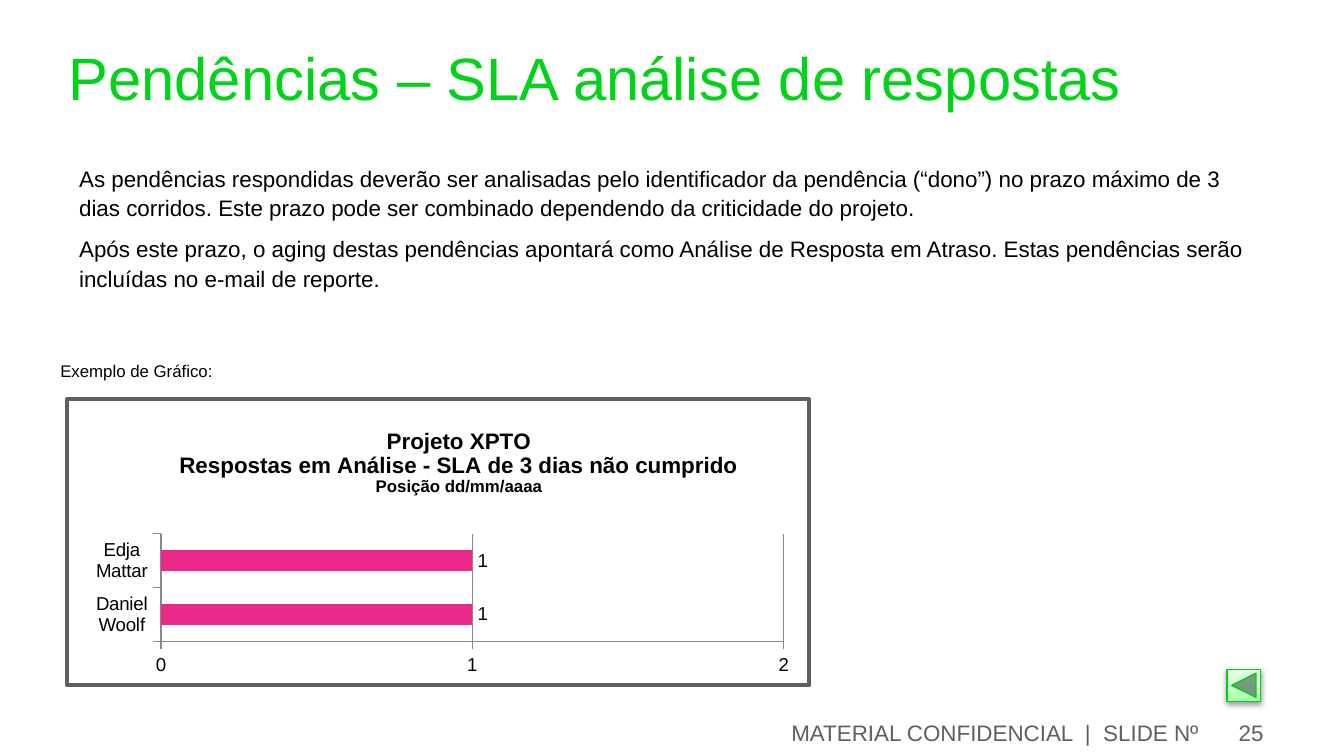
from lxml import etree
from pptx import Presentation
from pptx.chart.data import CategoryChartData
from pptx.dml.color import RGBColor
from pptx.enum.chart import XL_CHART_TYPE, XL_LABEL_POSITION, XL_TICK_MARK
from pptx.enum.shapes import MSO_SHAPE
from pptx.enum.text import MSO_ANCHOR, PP_ALIGN
from pptx.oxml import parse_xml
from pptx.oxml.ns import nsdecls, qn
from pptx.util import Inches, Pt

BAR = XL_CHART_TYPE.BAR_CLUSTERED
OUTSIDE = XL_LABEL_POSITION.OUTSIDE_END
TICK_OUT, TICK_NONE = XL_TICK_MARK.OUTSIDE, XL_TICK_MARK.NONE
RECT, BACK = MSO_SHAPE.RECTANGLE, MSO_SHAPE.ACTION_BUTTON_BACK_OR_PREVIOUS
TOP, MIDDLE = MSO_ANCHOR.TOP, MSO_ANCHOR.MIDDLE
LEFT, RIGHT = PP_ALIGN.LEFT, PP_ALIGN.RIGHT

FONT = "Arial"
COLORS = {
    "title": "00D318", "text": "000000", "gray": "5F5F5F", "white": "FFFFFF",
    "axis": "888888", "bar": "EA2A8B", "edge": "00CE17",
}
BODY = [
    "As pendências respondidas deverão ser analisadas pelo identificador da "
    "pendência (“dono”) no prazo máximo de 3 dias corridos. Este prazo pode ser "
    "combinado dependendo da criticidade do projeto.",
    "Após este prazo, o aging destas pendências apontará como Análise de Resposta "
    "em Atraso. Estas pendências serão incluídas no e-mail de reporte.",
]
HEADING = [
    ("Projeto XPTO", 12),
    ("Respostas em Análise - SLA de 3 dias não cumprido", 12),
    ("Posição dd/mm/aaaa", 9),
]


def color(name):
    return RGBColor.from_string(COLORS[name])


def style(font, size, name="text", bold=False):
    font.name, font.size, font.bold = FONT, Pt(size), bold
    font.color.rgb = color(name)


def stroke(line, name, width=0.75):
    line.color.rgb = color(name)
    line.width = Pt(width)


def add_title(slide, box, text):
    title = slide.shapes.title
    title.left, title.top, title.width, title.height = map(Inches, box)
    frame = title.text_frame
    frame.margin_left = frame.margin_right = 0
    frame.margin_top = frame.margin_bottom = 0
    frame.vertical_anchor = TOP
    frame.text = text
    frame.paragraphs[0].alignment = LEFT
    style(frame.paragraphs[0].runs[0].font, 32, "title")


def add_text(slide, box, lines, size, name="text", align=LEFT, anchor=TOP,
             spacing=1.0, after=0):
    frame = slide.shapes.add_textbox(*map(Inches, box)).text_frame
    frame.word_wrap = True
    frame.vertical_anchor = anchor
    frame.text = "\n".join(lines)
    for para in frame.paragraphs:
        para.alignment = align
        para.line_spacing = spacing
        para.space_after = Pt(after)
        style(para.runs[0].font, size, name)


def add_footer(slide, box, label, number):
    left, top, width, height = box
    split = width - 0.48
    for x, wide, text in ((left, split, label), (left + split, 0.48, number)):
        add_text(slide, (x, top, wide, height), [text], 12, "gray", RIGHT, MIDDLE)


def set_layout(parent, index, **values):
    """Give a chart part a manual layout, in fractions of the chart."""
    for old in parent.findall(qn("c:layout")):
        parent.remove(old)
    layout = etree.Element(qn("c:layout"))
    manual = etree.SubElement(layout, qn("c:manualLayout"))
    for key, value in values.items():
        etree.SubElement(manual, qn("c:" + key)).set("val", str(value))
    parent.insert(index, layout)


def add_heading(chart):
    frame = chart.chart_title.text_frame
    frame.text = "\n".join(text for text, _ in HEADING)
    for para, (_, size) in zip(frame.paragraphs, HEADING):
        style(para.runs[0].font, size, bold=True)
    title = chart._chartSpace.chart.find(qn("c:title"))
    set_layout(title, 1, xMode="edge", yMode="edge", x=0.14, y=0.04)


def add_bars(slide, box):
    left, top, width, height = box
    frame = slide.shapes.add_shape(RECT, *map(Inches, box))
    frame.shadow.inherit = False
    frame.fill.solid()
    frame.fill.fore_color.rgb = color("white")
    stroke(frame.line, "gray", 2)

    data = CategoryChartData()
    data.categories = ["Daniel Woolf", "Edja Mattar"]
    data.add_series("Series 1", (1, 1))
    inner = (left + 0.05, top + 0.1, width - 0.13, height - 0.17)
    chart = slide.shapes.add_chart(BAR, *map(Inches, inner), data).chart
    style(chart.font, 10)
    chart.has_legend = False
    add_heading(chart)
    set_layout(chart._chartSpace.chart.plotArea, 0, layoutTarget="inner",
               xMode="edge", yMode="edge", x=0.12, y=0.46, w=0.86, h=0.41)

    for axis in (chart.category_axis, chart.value_axis):
        axis.major_tick_mark, axis.minor_tick_mark = TICK_OUT, TICK_NONE
        style(axis.tick_labels.font, 10)
        stroke(axis.format.line, "axis")
    scale = chart.value_axis
    scale.minimum_scale, scale.maximum_scale, scale.major_unit = 0, 2, 1
    scale.has_major_gridlines = True
    stroke(scale.major_gridlines.format.line, "axis")

    plot = chart.plots[0]
    plot.gap_width = 150
    plot.vary_by_categories = False
    fill = plot.series[0].format.fill
    fill.solid()
    fill.fore_color.rgb = color("bar")
    labels = plot.series[0].data_labels
    labels.show_value = True
    labels.position = OUTSIDE
    style(labels.font, 10)


def add_button(slide, box):
    button = slide.shapes.add_shape(BACK, *map(Inches, box))
    stroke(button.line, "edge")
    stops = "".join(
        f'<a:gs pos="{pos * 1000}"><a:srgbClr val="{tone}"/></a:gs>'
        for pos, tone in ((0, "A8FFA9"), (35, "C2FFC2"), (100, "E8FFE8")))
    props = button._element.spPr
    props.find(qn("a:prstGeom")).addnext(parse_xml(
        f'<a:gradFill {nsdecls("a")} rotWithShape="1"><a:gsLst>{stops}</a:gsLst>'
        '<a:lin ang="16200000" scaled="1"/></a:gradFill>'))
    props.find(qn("a:ln")).addnext(parse_xml(
        f'<a:effectLst {nsdecls("a")}><a:outerShdw blurRad="{Pt(3.1)}" '
        f'dist="{Pt(1.6)}" dir="5400000" rotWithShape="0"><a:srgbClr val="000000">'
        '<a:alpha val="38000"/></a:srgbClr></a:outerShdw></a:effectLst>'))


def main():
    deck = Presentation()
    deck.slide_width, deck.slide_height = Inches(10), Inches(10 * 9 / 16)
    slide = deck.slides.add_slide(deck.slide_layouts[5])
    add_title(slide, (0.51, 0.3, 8.98, 0.78), "Pendências – SLA análise de respostas")
    add_footer(slide, (0.5, 5.33, 9, 0.24), "MATERIAL CONFIDENCIAL  |  SLIDE Nº", "25")
    add_text(slide, (0.49, 1.16, 8.98, 1.07), BODY, 12, spacing=1.1, after=6)
    add_text(slide, (0.35, 2.62, 8.98, 0.27), ["Exemplo de Gráfico:"], 9,
             spacing=1.1, after=6)
    add_bars(slide, (0.5, 2.97, 5.52, 2.13))
    add_button(slide, (9.13, 4.98, 0.25, 0.24))
    deck.save("out.pptx")


if __name__ == "__main__":
    main()
